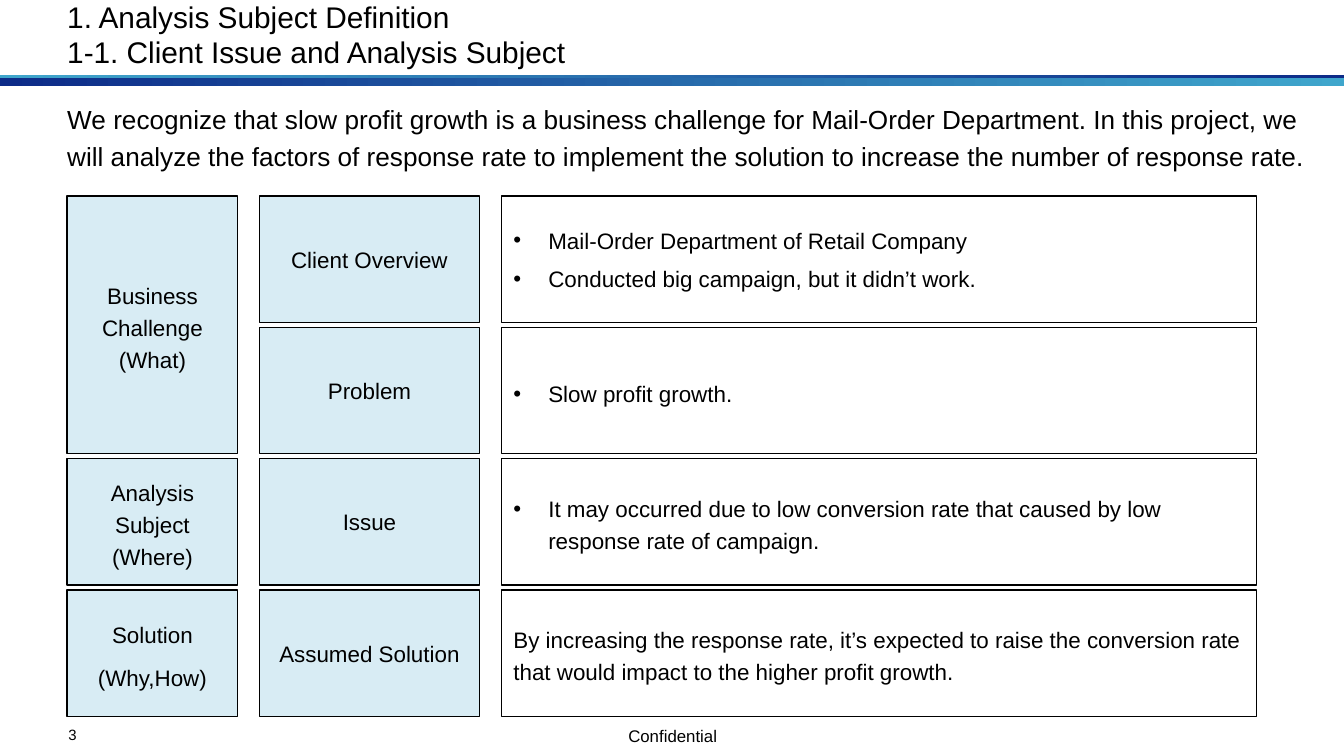
import pptx
import pptx.dml.color
import pptx.enum.shapes
import pptx.enum.text
import pptx.util
from lxml import etree
from pptx.oxml.ns import qn

Inches = pptx.util.Inches
Pt = pptx.util.Pt
RGBColor = pptx.dml.color.RGBColor
ALIGN = pptx.enum.text.PP_ALIGN
ANCHOR = pptx.enum.text.MSO_ANCHOR
RECTANGLE = pptx.enum.shapes.MSO_SHAPE.RECTANGLE

BLACK = RGBColor(0x00, 0x00, 0x00)
PALE_BLUE = RGBColor(0xD8, 0xEC, 0xF4)
SKY = RGBColor(0x3F, 0xA6, 0xCC)
NAVY = RGBColor(0x0D, 0x2B, 0x88)

# Grid: left and width of each column, then the row rule
STAGE, TOPIC, DETAIL = (0.5, 1.27), (1.93, 1.64), (3.73, 5.62)
GRID_TOP, LAST_ROW_TOP, ROW_HEIGHT = 1.46, 4.39, 0.94
ROW_STEP = (LAST_ROW_TOP - GRID_TOP) / 3

# Stage, first row, rows covered
STAGES = [
    (["Business Challenge\v(What)"], 0, 2),
    (["Analysis Subject\v(Where)"], 2, 1),
    (["Solution", "(Why,How)"], 3, 1),
]

# Topic, detail paragraphs, bulleted, line spacing
TOPICS = [
    ("Client Overview",
     ["Mail-Order Department of Retail Company",
      "Conducted big campaign, but it didn’t work."], True, 1.0),
    ("Problem", ["Slow profit growth."], True, 1.2),
    ("Issue",
     ["It may occurred due to low conversion rate that caused by low "
      "response rate of campaign."], True, 1.2),
    ("Assumed Solution",
     ["By increasing the response rate, it’s expected to raise the conversion "
      "rate that would impact to the higher profit growth."], False, 1.2),
]


def add_bullet(para):
    properties = para._p.get_or_add_pPr()
    properties.set("marL", str(Inches(0.26)))
    properties.set("indent", str(-Inches(0.26)))
    color = etree.SubElement(properties, qn("a:buClr"))
    etree.SubElement(color, qn("a:srgbClr"), val=str(BLACK))
    etree.SubElement(properties, qn("a:buFont"), typeface="Arial")
    etree.SubElement(properties, qn("a:buChar"), char="•")


def write_text(frame, texts, size=12, align=ALIGN.LEFT, anchor=ANCHOR.TOP,
               spacing=1.0, bullet=False, margins=(0, 0)):
    frame.word_wrap = True
    frame.vertical_anchor = anchor
    frame.margin_left = frame.margin_right = Inches(margins[0])
    frame.margin_top = frame.margin_bottom = Inches(margins[1])
    for index, text in enumerate(texts):
        para = frame.add_paragraph() if index else frame.paragraphs[0]
        para.text = text
        para.alignment = align
        para.line_spacing = spacing
        if index:
            para.space_before = Pt(6)
        if bullet:
            add_bullet(para)
        for span in para.runs:
            span.font.name = "Arial"
            span.font.size = Pt(size)
            span.font.color.rgb = BLACK


def add_label(page, place, text, **text_format):
    box = page.shapes.add_textbox(*map(Inches, place))
    write_text(box.text_frame, [text], **text_format)


def add_band(page, top, height, start, end):
    band = page.shapes.add_shape(RECTANGLE, 0, Inches(top), Inches(10), Inches(height))
    band.shadow.inherit = False
    band.line.fill.background()
    band.fill.gradient()
    band.fill.gradient_angle = 0
    for stop, color, position in zip(band.fill.gradient_stops, (start, end), (0, 1)):
        stop.color.rgb = color
        stop.position = position


def add_cell(page, column, row, texts, rows=1, fill=None, **text_format):
    left, width = column
    top = GRID_TOP + row * ROW_STEP
    height = ROW_HEIGHT + (rows - 1) * ROW_STEP
    cell = page.shapes.add_shape(RECTANGLE, *map(Inches, (left, top, width, height)))
    cell.shadow.inherit = False
    cell.line.color.rgb = BLACK
    cell.line.width = Pt(0.75)
    if fill is None:
        cell.fill.background()
    else:
        cell.fill.solid()
        cell.fill.fore_color.rgb = fill
    write_text(cell.text_frame, texts, anchor=ANCHOR.MIDDLE,
               margins=(0.09, 0.04), **text_format)


def main():
    # Widescreen page, 16:9
    deck = pptx.Presentation()
    deck.slide_width = Inches(10)
    deck.slide_height = Inches(10 * 9 / 16)
    page = deck.slides.add_slide(deck.slide_layouts[6])

    # Footer and header bands
    add_label(page, (4.02, 5.43, 1.97, 0.12), "Confidential",
              size=9, align=ALIGN.CENTER, spacing=0.8)
    add_band(page, 0.56, 0.04, SKY, NAVY)
    add_band(page, 0.58, 0.06, NAVY, SKY)
    add_label(page, (0.51, 5.4, 0.5, 0.19), "3", size=8)

    # Title and key message
    add_label(page, (0.5, 0.19, 8.71, 0.33),
              "1. Analysis Subject Definition\v1-1. Client Issue and Analysis Subject",
              size=16, anchor=ANCHOR.BOTTOM)
    add_label(page, (0.5, 0.72, 9.38, 0.74),
              "We recognize that slow profit growth is a business challenge for "
              "Mail-Order Department. In this project, we will analyze the factors of "
              "response rate to implement the solution to increase the number of "
              "response rate.", size=14, spacing=1.2)

    # Topics with their details
    for row, (topic, details, bullet, spacing) in enumerate(TOPICS):
        add_cell(page, TOPIC, row, [topic], fill=PALE_BLUE, align=ALIGN.CENTER)
        add_cell(page, DETAIL, row, details, bullet=bullet, spacing=spacing)

    # Stages
    for texts, row, rows in STAGES:
        add_cell(page, STAGE, row, texts, rows=rows, fill=PALE_BLUE,
                 align=ALIGN.CENTER, spacing=1.2)

    deck.save("out.pptx")


if __name__ == "__main__":
    main()
